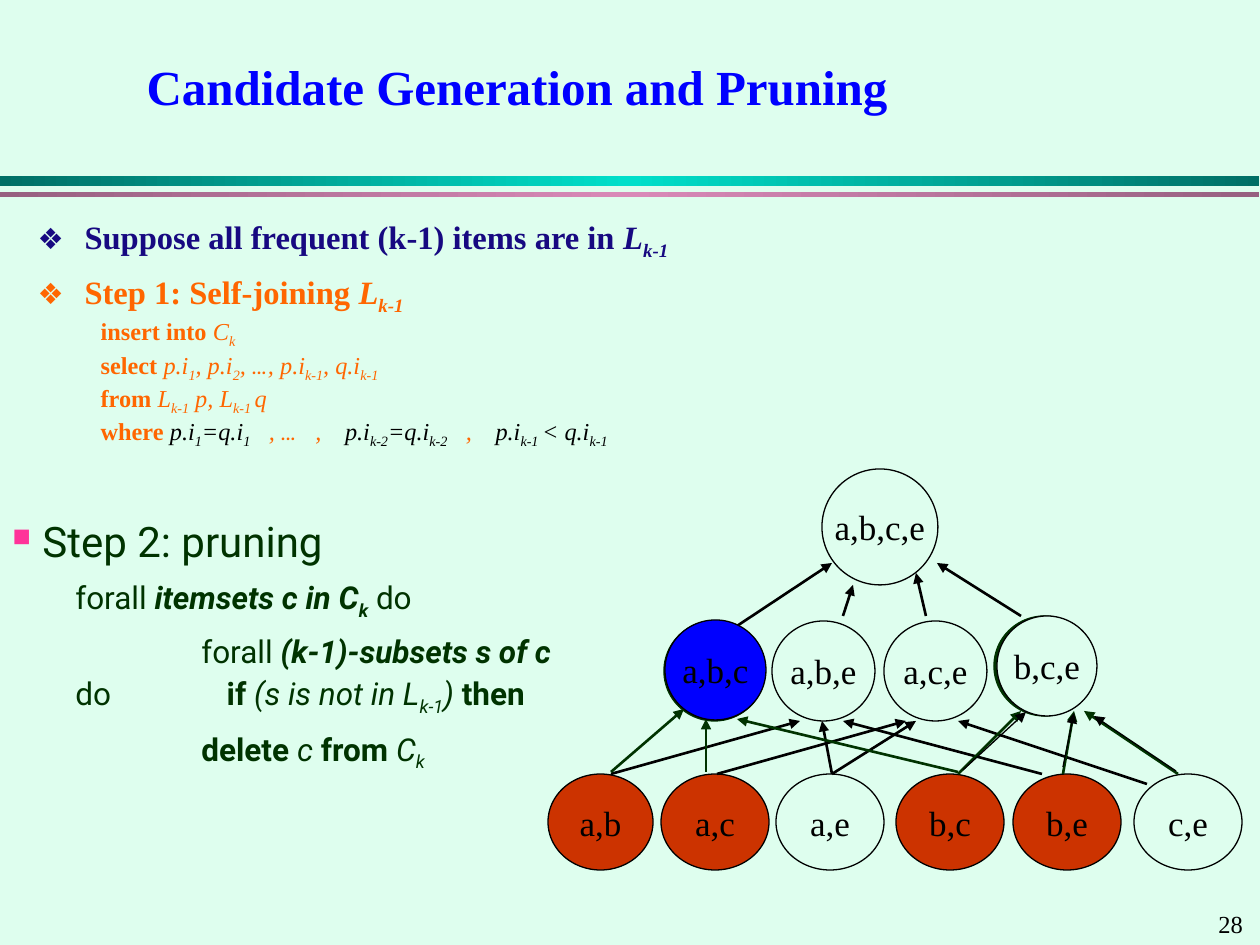
"""Build the slide on candidate generation and pruning."""
import copy

import lxml.etree
import pptx
import pptx.dml.color
import pptx.enum.shapes
import pptx.enum.text
import pptx.oxml.ns
import pptx.util

RGB = pptx.dml.color.RGBColor
MINT = RGB(0xDE, 0xFE, 0xEE)
BLACK = RGB(0, 0, 0)
BLUE = RGB(0, 0, 0xFF)
NAVY = RGB(0x17, 0x09, 0x81)
ORANGE = RGB(0xFF, 0x66, 0)
RED = RGB(0xCC, 0x33, 0)
GREEN = RGB(0, 0x33, 0)
PINK = RGB(0xFF, 0x33, 0x99)
TEAL_DARK, TEAL = RGB(0, 0x6F, 0x65), RGB(0, 0xDF, 0xCA)
MAUVE_DARK, MAUVE = RGB(0x97, 0x60, 0x80), RGB(0xD9, 0x89, 0xB8)
SERIF, SANS = "Times New Roman", "Roboto"
MARKS = {"b": {"bold": True}, "i": {"italic": True}, "k": {"color": BLACK},
         "r": {"name": SANS}, "_": {"baseline": "-25000"},
         "w": {"spc": "700"}, "W": {"spc": "1000"}}
GAP, WIDE_GAP = (" ", "w"), (" ", "W")
qn = pptx.oxml.ns.qn


def px(n):
    return pptx.util.Emu(round(n * 914400 / 126))


def add(parent, tag, **attrs):
    return lxml.etree.SubElement(parent, qn(tag), attrs)


class Deck:
    def __init__(self):
        self.prs = pptx.Presentation()
        self.prs.slide_width, self.prs.slide_height = px(1260), px(945)
        self.s = self.prs.slides.add_slide(self.prs.slide_layouts[1])
        self.s.background.fill.solid()
        self.s.background.fill.fore_color.rgb = MINT

    def run(self, p, text, marks="", **style):
        r = p.add_run()
        r.text = text
        style = {"name": SERIF, "color": BLACK, "bold": False, "italic": False} | style
        for mark in marks:
            style |= MARKS[mark]
        r.font.color.rgb = style.pop("color")
        for name in ("baseline", "spc"):
            if name in style:
                r.font._element.set(name, style.pop(name))
        style["size"] = pptx.util.Pt(style["size"])
        for name, value in style.items():
            setattr(r.font, name, value)

    def frame(self, sp, wrap=True, middle=False):
        anchor = pptx.enum.text.MSO_ANCHOR
        tf = sp.text_frame
        for name, value in {"word_wrap": wrap, "auto_size": pptx.enum.text.MSO_AUTO_SIZE.NONE,
                            "vertical_anchor": anchor.MIDDLE if middle else anchor.TOP}.items():
            setattr(tf, name, value)
        return tf

    def place(self, sp, box):
        for name, n in zip(("left", "top", "width", "height"), box):
            setattr(sp, name, px(n))

    def title(self, text, box, **style):
        sp = self.s.shapes.title
        self.place(sp, box)
        p = self.frame(sp, middle=True).paragraphs[0]
        p.alignment = pptx.enum.text.PP_ALIGN.LEFT
        self.run(p, text, **style)

    def body(self, box, items):
        sp = self.s.placeholders[1]
        self.place(sp, box)
        self.paragraphs(self.frame(sp), items)

    def textbox(self, box, items):
        sp = self.s.shapes.add_textbox(*map(px, box))
        self.paragraphs(self.frame(sp), items)

    def paragraphs(self, tf, items):
        for n, (runs, layout, style) in enumerate(items):
            p = tf.add_paragraph() if n else tf.paragraphs[0]
            self.layout(p, **layout)
            p.space_before = pptx.util.Pt(layout.get("before", 0) if n else 0)
            p.line_spacing = layout.get("spacing", 1.0)
            for run in runs:
                self.run(p, *run, **style)

    def layout(self, p, left=0, hang=0, bullet=None, level=0, **_):
        p.level = level
        pPr = p._p.get_or_add_pPr()
        pPr.set("marL", str(px(left)))
        pPr.set("indent", str(px(-hang)))
        if bullet:
            char, color, size = bullet
            add(add(pPr, "a:buClr"), "a:srgbClr", val=str(color))
            add(pPr, "a:buSzPct", val=str(size * 1000))
            add(pPr, "a:buChar", char=char)
        else:
            add(pPr, "a:buNone")

    def bar(self, box, edge, center):
        sp = self.s.shapes.add_shape(pptx.enum.shapes.MSO_SHAPE.RECTANGLE, *map(px, box))
        sp.shadow.inherit = False
        sp.line.fill.background()
        sp.fill.gradient()
        sp.fill.gradient_angle = 0
        gs_list = sp._element.spPr.find(".//" + qn("a:gsLst"))
        gs_list.insert(1, copy.deepcopy(gs_list[0]))
        for stop, color, position in zip(sp.fill.gradient_stops, (edge, center, edge), (0, 0.5, 1)):
            stop.color.rgb, stop.position = color, position

    def node(self, box, text="", fill=MINT, line=BLACK):
        sp = self.s.shapes.add_shape(pptx.enum.shapes.MSO_SHAPE.OVAL, *map(px, box))
        sp.shadow.inherit = False
        sp.fill.solid()
        sp.fill.fore_color.rgb = fill
        sp.line.color.rgb, sp.line.width = line, pptx.util.Pt(0.75)
        if text:
            p = self.frame(sp, wrap=False, middle=True).paragraphs[0]
            p.alignment = pptx.enum.text.PP_ALIGN.CENTER
            self.run(p, text, size=20)

    def arrow(self, ends, color=BLACK, width=1.5):
        c = self.s.shapes.add_connector(pptx.enum.shapes.MSO_CONNECTOR.STRAIGHT, *map(px, ends))
        c.line.color.rgb, c.line.width = color, pptx.util.Pt(width)
        add(c.line._get_or_add_ln(), "a:tailEnd", type="triangle")
        add(c._element.spPr, "a:effectLst")


def add_text(deck):
    deck.title("Candidate Generation and Pruning", (134, 34, 1074, 103),
               size=28, color=BLUE, bold=True)
    point = {"left": 47, "hang": 47, "before": 6}
    code = {"left": 63, "level": 1}
    query = {"size": 13.9, "color": ORANGE}
    where = [("where ", "b"), ("p.i", "ik"), ("1", "ik_"), ("=q.i", "ik"), ("1", "ik_"),
             GAP, (", ", "i"), ("…", "ir"), GAP, (",", "i"), WIDE_GAP,
             ("p.i", "ik"), ("k-2", "ik_"), ("=q.i", "ik"), ("k-2", "ik_"),
             GAP, (",", "i"), WIDE_GAP,
             ("p.i", "ik"), ("k-1 ", "ik_"), ("< q.i", "ik"), ("k-1", "ik_")]
    deck.body((25, 211, 1167, 251), [
        ([("Suppose all frequent (k-1) items are in ", "b"), ("L", "bi"), ("k-1", "bi_")],
         point | {"bullet": ("❖", NAVY, 90)}, {"size": 18.6, "color": NAVY}),
        ([("Step 1: Self-joining ", "b"), ("L", "bi"), ("k-1", "bi_")],
         point | {"bullet": ("❖", ORANGE, 90)}, {"size": 18.6, "color": ORANGE}),
        ([("insert into ", "b"), ("C", "i"), ("k", "i_")], code, query),
        ([("select ", "b"), ("p.i", "i"), ("1", "i_"), (", p.i", "i"), ("2", "i_"), (", ", "i"),
          ("…", "ir"), (", p.i", "i"), ("k-1", "i_"), (", q.i", "i"), ("k-1", "i_")], code, query),
        ([("from ", "b"), ("L", "i"), ("k-1", "i_"), (" p, L", "i"), ("k-1 ", "i_"), ("q", "i")],
         code, query),
        (where, code, query)])

    step = {"left": 63, "before": 4.5, "spacing": 1.1}
    pruning = {"size": 18, "color": GREEN, "name": SANS}
    deck.textbox((0, 504, 592, 275), [
        ([("Step 2: pruning",)],
         {"left": 30, "hang": 30, "spacing": 1.1, "bullet": ("■", PINK, 60)}, pruning | {"size": 24}),
        ([("forall ",), ("itemsets c in C", "bi"), ("k", "bi_"), (" do",)], step, pruning),
        ([("\t\tforall ",), ("(k-1)-subsets s of c ", "bi"), ("do\t\t",), WIDE_GAP, ("if ", "b"),
          ("(s is not in L", "i"), ("k-1", "i_"), (") ", "i"), ("then", "b")], step, pruning),
        ([("\t\tdelete ", "b"), ("c", "i"), (" from ", "b"), ("C", "i"), ("k", "i_")],
         step, pruning)])
    deck.textbox((1206, 903, 54, 43), [([("28",)], {}, {"size": 14})])


def add_lattice(deck):
    for text, x, width, fill in [("a,b", 548, 105, RED), ("a,c", 661, 108, RED),
                                 ("a,e", 776, 108, MINT), ("b,c", 896, 108, RED),
                                 ("b,e", 1013, 108, RED), ("c,e", 1134, 108, MINT)]:
        deck.node((x, 774, width, 96), text, fill)
    for text, x in [("a,b,e", 772), ("a,c,e", 884)]:
        deck.node((x, 621, 103, 100), text)
    deck.node((822, 469, 116, 116), "a,b,c,e")
    for x, y in [(664, 621), (994, 616)]:
        deck.node((x, y, 101, 100), fill=GREEN, line=GREEN)

    for ends in [(611, 774, 800, 721), (717, 774, 906, 721), (832, 774, 822, 721),
                 (832, 774, 916, 721), (1042, 774, 843, 721), (1147, 784, 958, 721),
                 (737, 626, 832, 563), (843, 616, 853, 585),
                 (926, 616, 916, 573), (1021, 616, 937, 563)]:
        deck.arrow(ends)
    for ends in [(611, 772, 684, 709), (706, 772, 706, 719), (958, 772, 737, 719),
                 (1063, 774, 1074, 711), (958, 774, 1021, 711), (1178, 774, 1084, 711)]:
        deck.arrow(ends, GREEN)

    deck.node((665, 620, 101, 100), "a,b,c", BLUE)
    deck.node((997, 616, 100, 100), "b,c,e")
    for ends in [(1063, 767, 1074, 713), (963, 770, 1026, 712), (1176, 771, 1094, 716)]:
        deck.arrow(ends, width=0.75)


def main():
    deck = Deck()
    deck.bar((0, 176, 1259, 10), TEAL_DARK, TEAL)
    deck.bar((0, 192, 1259, 5), MAUVE_DARK, MAUVE)
    add_text(deck)
    add_lattice(deck)
    deck.prs.save("out.pptx")


if __name__ == "__main__":
    main()
